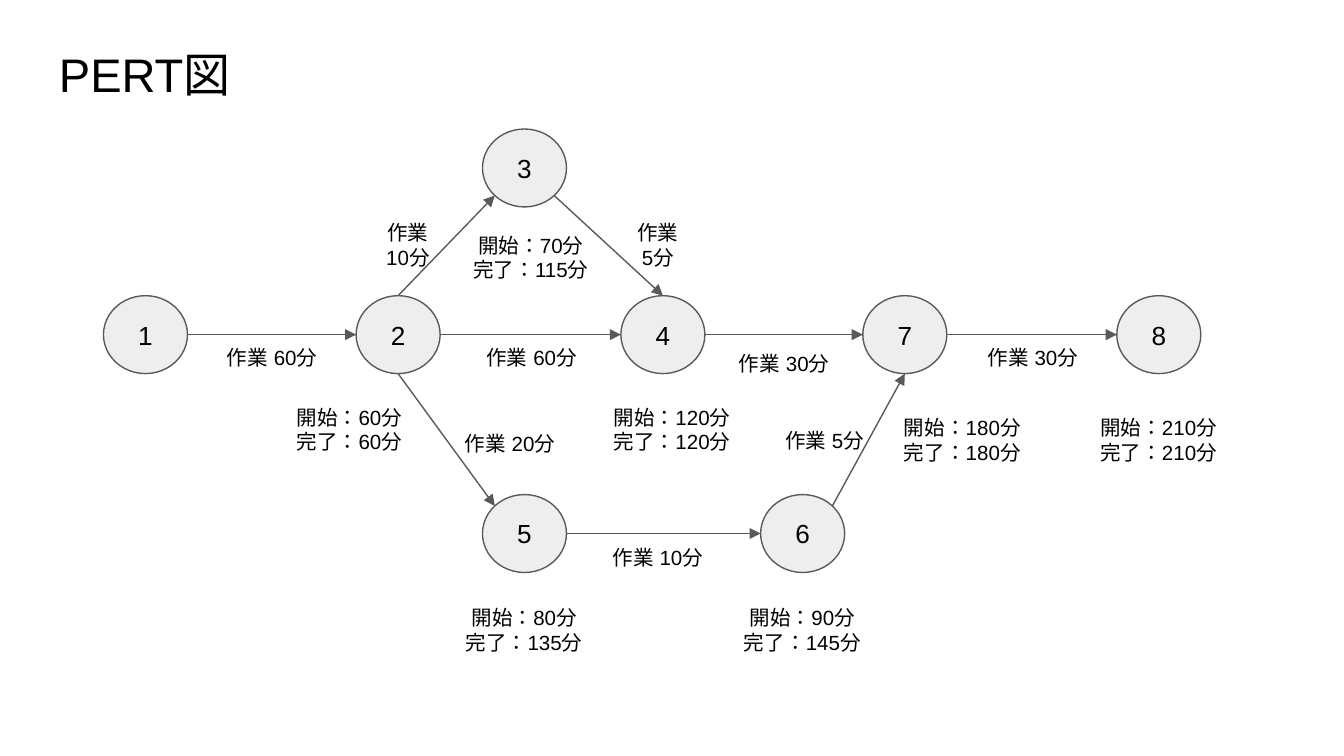
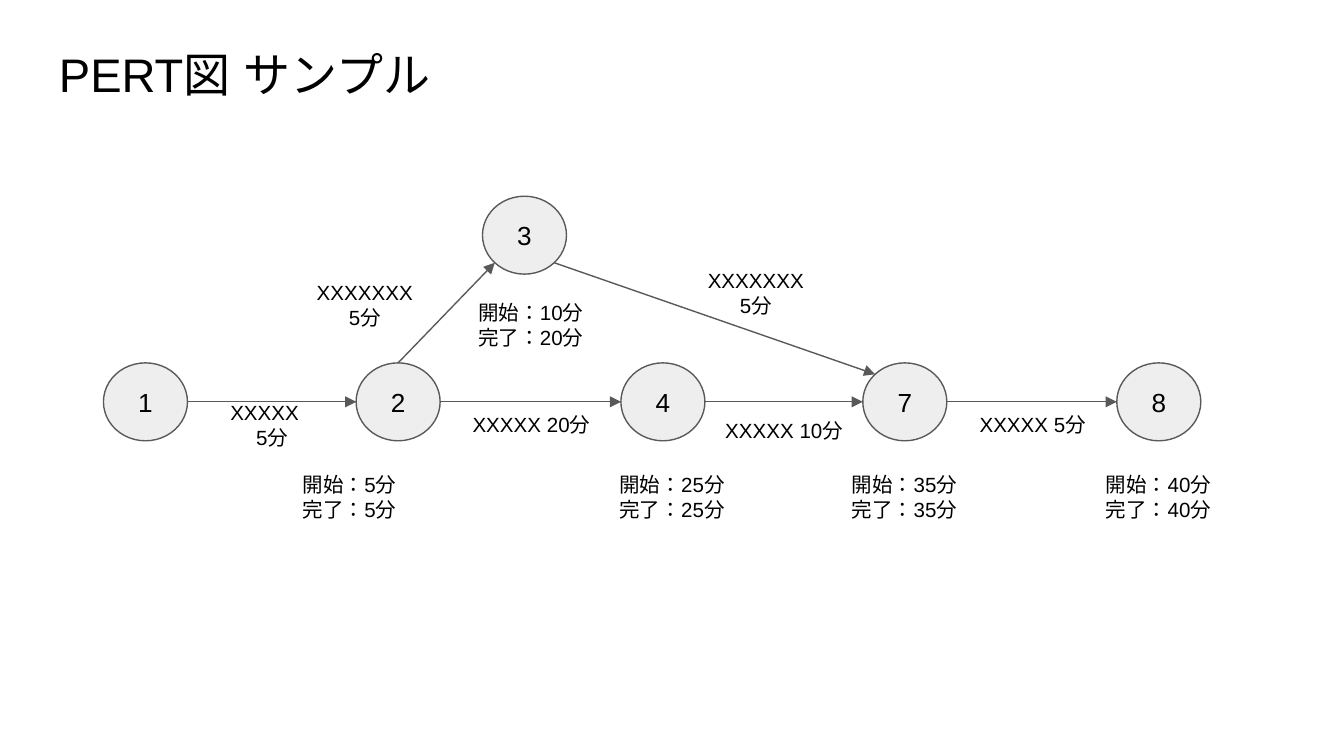
from dataclasses import dataclass
from math import cos, pi, sin

from lxml.etree import SubElement
from pptx import Presentation
from pptx.dml.color import RGBColor
from pptx.enum.lang import MSO_LANGUAGE_ID as Lang
from pptx.enum.shapes import MSO_CONNECTOR as Link, MSO_SHAPE as Form
from pptx.enum.text import MSO_ANCHOR as Anchor, PP_ALIGN as Align
from pptx.oxml.ns import qn
from pptx.shapes.autoshape import Shape
from pptx.slide import Slide
from pptx.text.text import TextFrame
from pptx.util import Inches, Pt


@dataclass(frozen=True)
class Theme:
    font: str = "Arial"
    ink: RGBColor = RGBColor(0, 0, 0)
    fill: RGBColor = RGBColor(0xEE, 0xEE, 0xEE)
    edge: RGBColor = RGBColor(0x59, 0x59, 0x59)
    rule: float = 0.75
    title: float = 25.2
    number: float = 14
    label: float = 11


THEME = Theme()
NODE_W, NODE_H = 5 / 8, 0.58
TIME_W, TIME_H = 1.34, 0.57
TASK_W, TASK_H = 1.13, 0.36

# Connection sites of an ellipse, counter-clockwise from the top
TOP, TOP_LEFT, LEFT, LOW_LEFT, LOW, LOW_RIGHT, RIGHT, TOP_RIGHT = range(8)

# Left edge of each node, and its drop from the main row
PLACES = {
    1: (0.77, 0), 2: (2.65, 0), 4: (4.62, 0), 7: (6.42, 0), 8: (8.31, 0),
    3: (3.59, -1.24), 5: (3.59, 1.48), 6: (5.66, 1.48),
}


@dataclass(frozen=True)
class Time:
    """Start and finish of a node, set at an offset from its corner."""
    node: int
    start: int
    finish: int
    dx: float = -0.36
    dy: float = 0.71


@dataclass(frozen=True)
class Task:
    """Arrow between two nodes; its label drops dy from the main row."""
    tail: int
    head: int
    text: str
    x: float
    dy: float = 0.28
    leave: int = RIGHT
    enter: int = LEFT


@dataclass(frozen=True)
class Plan:
    title: str
    row: float
    nodes: tuple[int, ...]
    times: tuple[Time, ...]
    tasks: tuple[Task, ...]


def main_row(texts: tuple[str, ...]) -> tuple[Task, ...]:
    """Tasks along 1, 2, 4, 7, 8."""
    stops = ((1, 2, 1.46, 0.28), (2, 4, 3.39, 0.28),
             (4, 7, 5.27, 0.32), (7, 8, 7.12, 0.28))
    return tuple(Task(tail, head, text, x, dy)
                 for (tail, head, x, dy), text in zip(stops, texts))


PLANS = (
    Plan(
        "PERT図", 2.2, (1, 2, 4, 7, 5, 6, 3, 8),
        (
            Time(2, 60, 60, -0.72),
            Time(3, 70, 115, -0.31, 0.67),
            Time(4, 120, 120, -0.29),
            Time(5, 80, 135, dy=0.72),
            Time(6, 90, 145, dy=0.72),
            Time(7, 180, 180, 0.07, 0.79),
            Time(8, 210, 210, dy=0.79),
        ),
        main_row(("作業 60分", "作業 60分", "作業 30分", "作業 30分")) + (
            Task(2, 3, "作業\n10分", 2.47, -0.56, TOP, LOW_LEFT),
            Task(3, 4, "作業\n5分", 4.33, -0.56, LOW_RIGHT, TOP),
            Task(2, 5, "作業 20分", 3.23, 0.92, LOW, TOP_LEFT),
            Task(5, 6, "作業 10分", 4.33, 1.77),
            Task(6, 7, "作業 5分", 5.57, 0.9, TOP_RIGHT, LOW),
        ),
    ),
    Plan(
        "PERT図 サンプル", 2.7, (1, 2, 4, 7, 3, 8),
        (
            Time(2, 5, 5, -0.72),
            Time(3, 10, 20, -0.31, 0.67),
            Time(4, 25, 25, -0.29),
            Time(7, 35, 35),
            Time(8, 40, 40),
        ),
        main_row((" XXXXX　\n5分", "XXXXX 20分", "XXXXX 10分", "XXXXX 5分")) + (
            Task(2, 3, "XXXXXXX\n5分", 2.15, -0.61, TOP, LOW_LEFT),
            Task(3, 7, "XXXXXXX\n5分", 5.06, -0.7, LOW_RIGHT, TOP_LEFT),
        ),
    ),
)


def write(frame: TextFrame, text: str, size: float,
          align: Align = Align.CENTER, anchor: Anchor = Anchor.MIDDLE) -> None:
    frame.word_wrap = True
    frame.vertical_anchor = anchor
    frame.margin_left = frame.margin_right = Inches(0.1)
    frame.margin_top = frame.margin_bottom = Inches(0.1)
    for i, line in enumerate(text.split("\n")):
        para = frame.add_paragraph() if i else frame.paragraphs[0]
        para.alignment = align
        run = para.add_run()
        run.text = line
        run.font.name = THEME.font
        run.font.size = Pt(size)
        run.font.color.rgb = THEME.ink
        run.font.language_id = Lang.JAPANESE
        SubElement(run.font._element, qn("a:ea"), typeface=THEME.font)


def add_text(slide: Slide, x: float, y: float, w: float, h: float,
             text: str, size: float, **style) -> None:
    box = slide.shapes.add_textbox(Inches(x), Inches(y), Inches(w), Inches(h))
    write(box.text_frame, text, size, **style)


def add_node(slide: Slide, num: int, row: float) -> Shape:
    x, drop = PLACES[num]
    node = slide.shapes.add_shape(Form.OVAL, Inches(x), Inches(row + drop),
                                  Inches(NODE_W), Inches(NODE_H))
    node.shadow.inherit = False
    node.fill.solid()
    node.fill.fore_color.rgb = THEME.fill
    node.line.color.rgb = THEME.edge
    node.line.width = Pt(THEME.rule)
    write(node.text_frame, str(num), THEME.number)
    return node


def find_site(node: Shape, site: int) -> tuple[int, int]:
    turn = site * pi / 4
    return (round(node.left + node.width / 2 * (1 - sin(turn))),
            round(node.top + node.height / 2 * (1 - cos(turn))))


def add_arrow(slide: Slide, tail: Shape, head: Shape, task: Task) -> None:
    line = slide.shapes.add_connector(
        Link.STRAIGHT, *find_site(tail, task.leave), *find_site(head, task.enter))
    line.line.color.rgb = THEME.edge
    line.line.width = Pt(THEME.rule)
    SubElement(line.line._get_or_add_ln(), qn("a:tailEnd"), type="triangle")
    SubElement(line._element.spPr, qn("a:effectLst"))
    # Ellipses have eight sites, so the joins are written directly
    joins = line._element.find(".//" + qn("p:cNvCxnSpPr"))
    for tag, node, site in (("a:stCxn", tail, task.leave),
                            ("a:endCxn", head, task.enter)):
        SubElement(joins, qn(tag), id=str(node.shape_id), idx=str(site))


def add_plan(slide: Slide, plan: Plan) -> None:
    add_text(slide, 0.34, 0.24, 9.32, 0.63, plan.title, THEME.title,
             align=Align.LEFT, anchor=Anchor.TOP)
    nodes = {num: add_node(slide, num, plan.row) for num in plan.nodes}
    for task in plan.tasks:
        add_arrow(slide, nodes[task.tail], nodes[task.head], task)
    for time in plan.times:
        x, drop = PLACES[time.node]
        add_text(slide, x + time.dx, plan.row + drop + time.dy, TIME_W, TIME_H,
                 f"開始：{time.start}分\n完了：{time.finish}分", THEME.label)
    for task in plan.tasks:
        add_text(slide, task.x, plan.row + task.dy, TASK_W, TASK_H,
                 task.text, THEME.label)


def main() -> None:
    deck = Presentation()
    deck.slide_width = Inches(10)
    deck.slide_height = Inches(10 * 9 / 16)
    blank = deck.slide_layouts[6]
    for plan in PLANS:
        add_plan(deck.slides.add_slide(blank), plan)
    deck.save("out.pptx")


if __name__ == "__main__":
    main()
